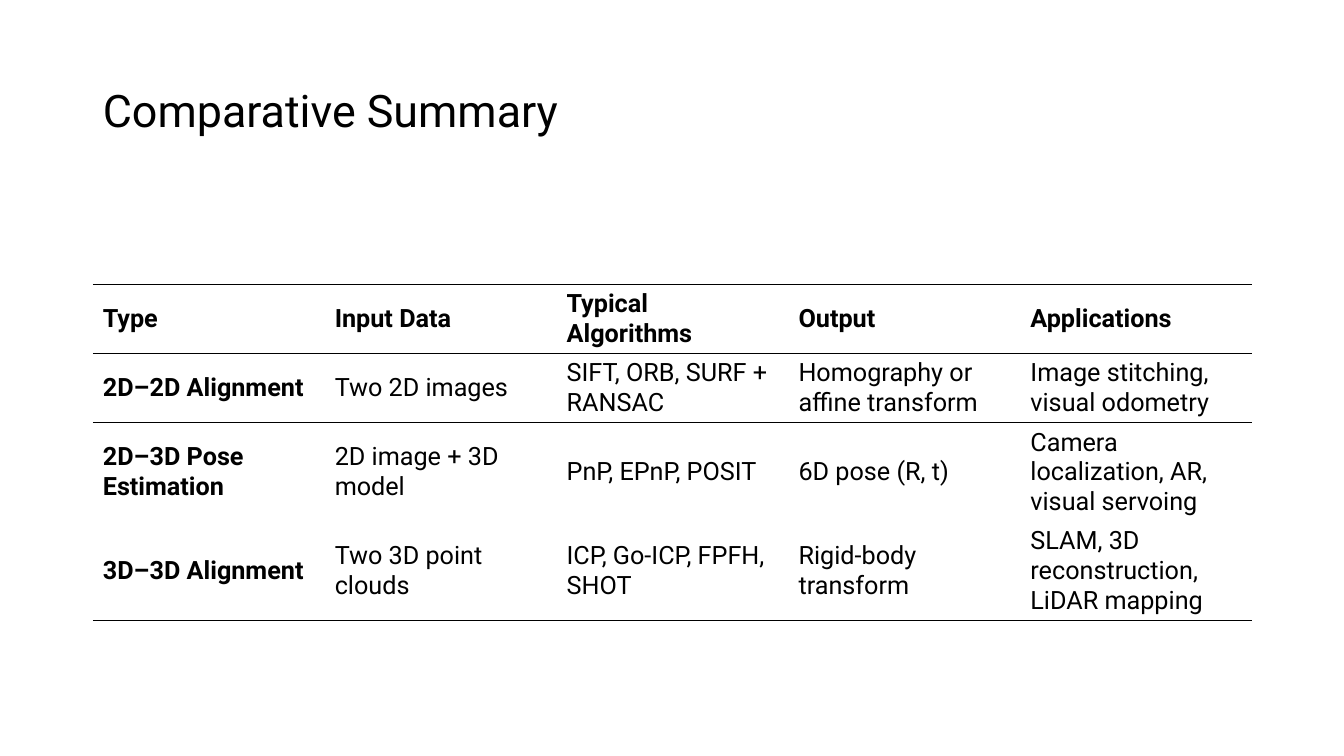
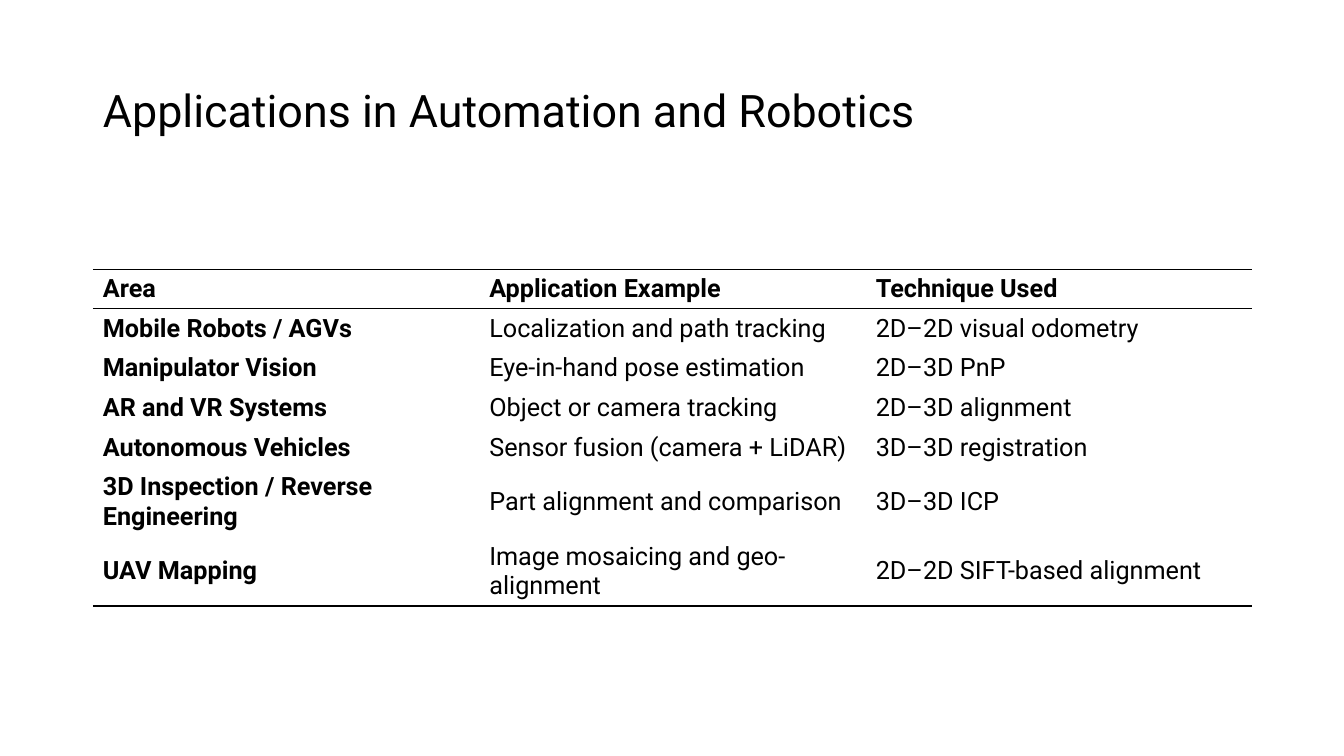
from dataclasses import dataclass

from lxml.etree import SubElement
from pptx import Presentation
from pptx.dml.color import RGBColor
from pptx.enum.text import MSO_ANCHOR, MSO_AUTO_SIZE, PP_ALIGN
from pptx.oxml import parse_xml
from pptx.oxml.ns import nsdecls, qn
from pptx.presentation import Presentation as Deck
from pptx.slide import SlideLayout
from pptx.table import _Cell as Cell
from pptx.text.text import TextFrame
from pptx.util import Inches, Pt

BLACK = RGBColor(0x00, 0x00, 0x00)
FONT = "Roboto"
LEFT, WIDTH = 0.92, 11.5
LINE_HEIGHT, ROW_PADDING = 0.29, 0.1
PLAIN_TABLE_STYLE = "{2D5ABB26-0587-4C30-8999-92F81FD0307C}"


@dataclass(frozen=True)
class TableSlide:
    """A titled table; ruled_rows are the rows with a line below them."""
    title: str
    top: float
    rows: tuple[tuple[str, ...], ...]
    row_lines: tuple[int, ...]
    ruled_rows: tuple[int, ...]


TABLE_SLIDES = (
    TableSlide(
        title="Comparative Summary",
        top=2.82,
        rows=(
            ("Type", "Input Data", "Typical Algorithms", "Output", "Applications"),
            ("2D–2D Alignment", "Two 2D images", "SIFT, ORB, SURF + RANSAC",
             "Homography or affine transform", "Image stitching, visual odometry"),
            ("2D–3D Pose Estimation", "2D image + 3D model", "PnP, EPnP, POSIT",
             "6D pose (R, t)", "Camera localization, AR, visual servoing"),
            ("3D–3D Alignment", "Two 3D point clouds", "ICP, Go-ICP, FPFH, SHOT",
             "Rigid-body transform", "SLAM, 3D reconstruction, LiDAR mapping"),
        ),
        row_lines=(2, 2, 3, 3),
        ruled_rows=(0, 1, 3),
    ),
    TableSlide(
        title="Applications in Automation and Robotics",
        top=2.67,
        rows=(
            ("Area", "Application Example", "Technique Used"),
            ("Mobile Robots / AGVs", "Localization and path tracking", "2D–2D visual odometry"),
            ("Manipulator Vision", "Eye-in-hand pose estimation", "2D–3D PnP"),
            ("AR and VR Systems", "Object or camera tracking", "2D–3D alignment"),
            ("Autonomous Vehicles", "Sensor fusion (camera + LiDAR)", "3D–3D registration"),
            ("3D Inspection / Reverse Engineering", "Part alignment and comparison", "3D–3D ICP"),
            ("UAV Mapping", "Image mosaicing and geo-alignment", "2D–2D SIFT-based alignment"),
        ),
        row_lines=(1, 1, 1, 1, 1, 2, 2),
        ruled_rows=(0, 6),
    ),
)


def write_text(frame: TextFrame, text: str, *, size: float, bold: bool = False,
               line_spacing: float = 1.0) -> None:
    frame.text = text
    paragraph = frame.paragraphs[0]
    paragraph.alignment = PP_ALIGN.LEFT
    paragraph.line_spacing = line_spacing
    font = paragraph.runs[0].font
    font.name = FONT
    font.size = Pt(size)
    font.bold = bold
    font.color.rgb = BLACK


def style_title_layout(layout: SlideLayout) -> None:
    title = layout.placeholders[0]
    title.left, title.top = Inches(LEFT), Inches(0.4)
    title.width, title.height = Inches(WIDTH), Inches(1.45)
    title.text_frame.vertical_anchor = MSO_ANCHOR.MIDDLE
    title.text_frame.auto_size = MSO_AUTO_SIZE.NONE


def rule_cell(cell: Cell, *, above: bool, below: bool) -> None:
    """Draw the horizontal cell borders, which must precede the fill."""
    properties = cell._tc.get_or_add_tcPr()
    sides = [side for side, drawn in (("lnT", above), ("lnB", below)) if drawn]
    for position, side in enumerate(sides):
        border = parse_xml(f'<a:{side} {nsdecls("a")} w="{Pt(1)}"/>')
        fill = SubElement(border, qn("a:solidFill"))
        SubElement(fill, qn("a:srgbClr"), val=str(BLACK))
        properties.insert(position, border)


def add_table_slide(presentation: Deck, layout: SlideLayout, content: TableSlide) -> None:
    slide = presentation.slides.add_slide(layout)
    write_text(slide.shapes.title.text_frame, content.title, size=32, line_spacing=0.9)

    heights = [ROW_PADDING + LINE_HEIGHT * lines for lines in content.row_lines]
    column_count = len(content.rows[0])
    table = slide.shapes.add_table(
        len(content.rows), column_count, Inches(LEFT), Inches(content.top),
        Inches(WIDTH), Inches(sum(heights))).table
    table._tbl.tblPr.find(qn("a:tableStyleId")).text = PLAIN_TABLE_STYLE
    table.horz_banding = False
    for column in table.columns:
        column.width = Inches(WIDTH / column_count)
    for row_index, texts in enumerate(content.rows):
        table.rows[row_index].height = Inches(heights[row_index])
        for column_index, text in enumerate(texts):
            cell = table.cell(row_index, column_index)
            cell.vertical_anchor = MSO_ANCHOR.MIDDLE
            cell.fill.background()
            write_text(cell.text_frame, text, size=18,
                       bold=row_index == 0 or column_index == 0)
            rule_cell(cell, above=row_index == 0, below=row_index in content.ruled_rows)


def main() -> None:
    presentation = Presentation()
    presentation.slide_width, presentation.slide_height = Inches(13.33), Inches(7.5)
    layout = presentation.slide_layouts.get_by_name("Title Only")
    style_title_layout(layout)
    for content in TABLE_SLIDES:
        add_table_slide(presentation, layout, content)
    presentation.save("out.pptx")


if __name__ == "__main__":
    main()
